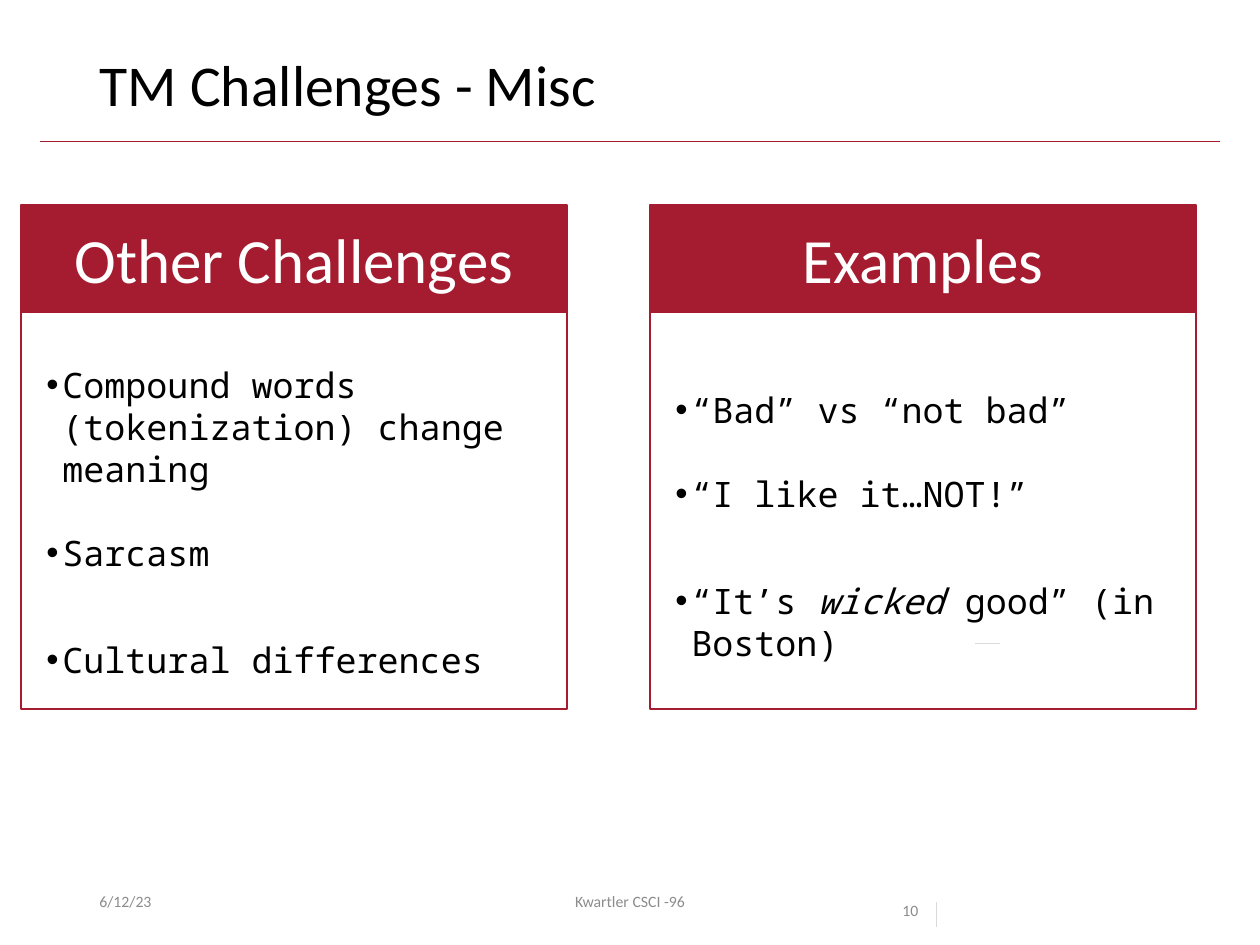
from dataclasses import dataclass

from lxml import etree
from pptx import Presentation
from pptx import util as u
from pptx.dml.color import RGBColor
from pptx.enum import shapes, text
from pptx.oxml.ns import qn

CRIMSON, BLACK, WHITE, GRAY, PALE = "A51C30", "000000", "FFFFFF", "8C8C8C", "D9D9D9"
PANEL_WIDTH = 546
HANG = 16


@dataclass
class Run:
    words: str
    italic: bool = False


@dataclass
class Panel:
    left: int
    heading: str
    body_top: int
    body_height: int
    points: list[list[Run]]


@dataclass
class Footer:
    words: str
    left: int
    width: int
    align: text.PP_ALIGN = text.PP_ALIGN.LEFT
    anchor: text.MSO_ANCHOR = text.MSO_ANCHOR.MIDDLE
    spacing: float = 1.0


@dataclass
class Rule:
    start: tuple[int, int]
    end: tuple[int, int]
    color: str


PANELS = [
    Panel(21, "Other Challenges", 357, 291, [
        [Run("Compound words (tokenization) change meaning")],
        [Run("Sarcasm")],
        [Run("Cultural differences")],
    ]),
    Panel(650, "Examples", 382, 248, [
        [Run("“Bad” vs “not bad”")],
        [Run("“I like it…NOT!”")],
        [Run("“It’s "), Run("wicked", True), Run(" good” (in Boston)")],
    ]),
]
POINT_GAPS = [0, 24, 37]
FOOTERS = [
    Footer("6/12/23", 87, 284),
    Footer("10", 890, 118, anchor=text.MSO_ANCHOR.TOP, spacing=2.0),
    Footer("Kwartler CSCI -96", 417, 426, align=text.PP_ALIGN.CENTER),
]
HEADER_RULE = Rule((40, 141), (1220, 141), CRIMSON)
SMALL_RULES = [
    Rule((936, 902), (936, 927), PALE),
    Rule((975, 643), (1000, 643), PALE),
]


def px(length: int) -> u.Emu:
    return u.Emu(round(length * 914400 / 126))


def rgb(color: str) -> RGBColor:
    return RGBColor.from_string(color)


def add_run(paragraph, words: str, size: int, color: str,
            face: str = "Calibri", italic: bool = False) -> None:
    run = paragraph.add_run()
    run.text = words
    run.font.size = u.Pt(size)
    run.font.name = face
    run.font.color.rgb = rgb(color)
    if italic:
        run.font.italic = True


def add_rule(slide, rule: Rule) -> None:
    line = slide.shapes.add_connector(
        shapes.MSO_CONNECTOR.STRAIGHT, *map(px, rule.start + rule.end))
    line.line.color.rgb = rgb(rule.color)
    line.line.width = u.Pt(0.5)
    etree.SubElement(line._element.spPr, qn("a:effectLst"))


def add_box(slide, left: int, top: int, width: int, height: int):
    box = slide.shapes.add_shape(
        shapes.MSO_SHAPE.RECTANGLE, px(left), px(top), px(width), px(height))
    box.shadow.inherit = False
    box.line.color.rgb = rgb(CRIMSON)
    box.line.width = u.Pt(1)
    return box


def add_bullet(paragraph) -> None:
    properties = paragraph._p.get_or_add_pPr()
    properties.set("marL", str(px(HANG)))
    properties.set("indent", str(-px(HANG)))
    etree.SubElement(properties, qn("a:buFont"), typeface="Arial")
    etree.SubElement(properties, qn("a:buChar"), char="•")


def add_panel(slide, panel: Panel) -> None:
    body = slide.shapes.add_textbox(
        px(panel.left + 13), px(panel.body_top), px(523), px(panel.body_height))
    frame = body.text_frame
    frame.word_wrap = True
    frame.auto_size = text.MSO_AUTO_SIZE.SHAPE_TO_FIT_TEXT
    for index, (runs, gap) in enumerate(zip(panel.points, POINT_GAPS)):
        paragraph = frame.add_paragraph() if index else frame.paragraphs[0]
        add_bullet(paragraph)
        if gap:
            paragraph.space_before = u.Pt(gap)
        for run in runs:
            add_run(paragraph, run.words, 20, BLACK, "Noto Sans Mono", run.italic)

    heading = add_box(slide, panel.left, 205, PANEL_WIDTH, 107)
    heading.fill.solid()
    heading.fill.fore_color.rgb = rgb(CRIMSON)
    heading.text_frame.vertical_anchor = text.MSO_ANCHOR.MIDDLE
    label = heading.text_frame.paragraphs[0]
    label.alignment = text.PP_ALIGN.CENTER
    add_run(label, panel.heading, 36, WHITE)

    add_box(slide, panel.left, 224, PANEL_WIDTH, 485).fill.background()


def add_footer(slide, footer: Footer) -> None:
    box = slide.shapes.add_textbox(px(footer.left), px(876), px(footer.width), px(50))
    frame = box.text_frame
    frame.word_wrap = True
    frame.vertical_anchor = footer.anchor
    paragraph = frame.paragraphs[0]
    paragraph.alignment = footer.align
    paragraph.line_spacing = footer.spacing
    add_run(paragraph, footer.words, 9, GRAY)


def set_title(slide, words: str) -> None:
    title = slide.shapes.title
    title.left, title.top, title.width, title.height = map(px, (87, 50, 1086, 82))
    frame = title.text_frame
    frame.vertical_anchor = text.MSO_ANCHOR.TOP
    frame.auto_size = text.MSO_AUTO_SIZE.NONE
    paragraph = frame.paragraphs[0]
    paragraph.alignment = text.PP_ALIGN.LEFT
    paragraph.line_spacing = 0.9
    add_run(paragraph, words, 33, BLACK)


def main() -> None:
    deck = Presentation()
    deck.slide_width, deck.slide_height = px(1260), px(945)
    slide = deck.slides.add_slide(deck.slide_layouts[5])
    add_rule(slide, HEADER_RULE)
    set_title(slide, "TM Challenges - Misc")
    for footer in FOOTERS:
        add_footer(slide, footer)
    for panel in PANELS:
        add_panel(slide, panel)
    for rule in SMALL_RULES:
        add_rule(slide, rule)
    deck.save("out.pptx")


if __name__ == "__main__":
    main()
